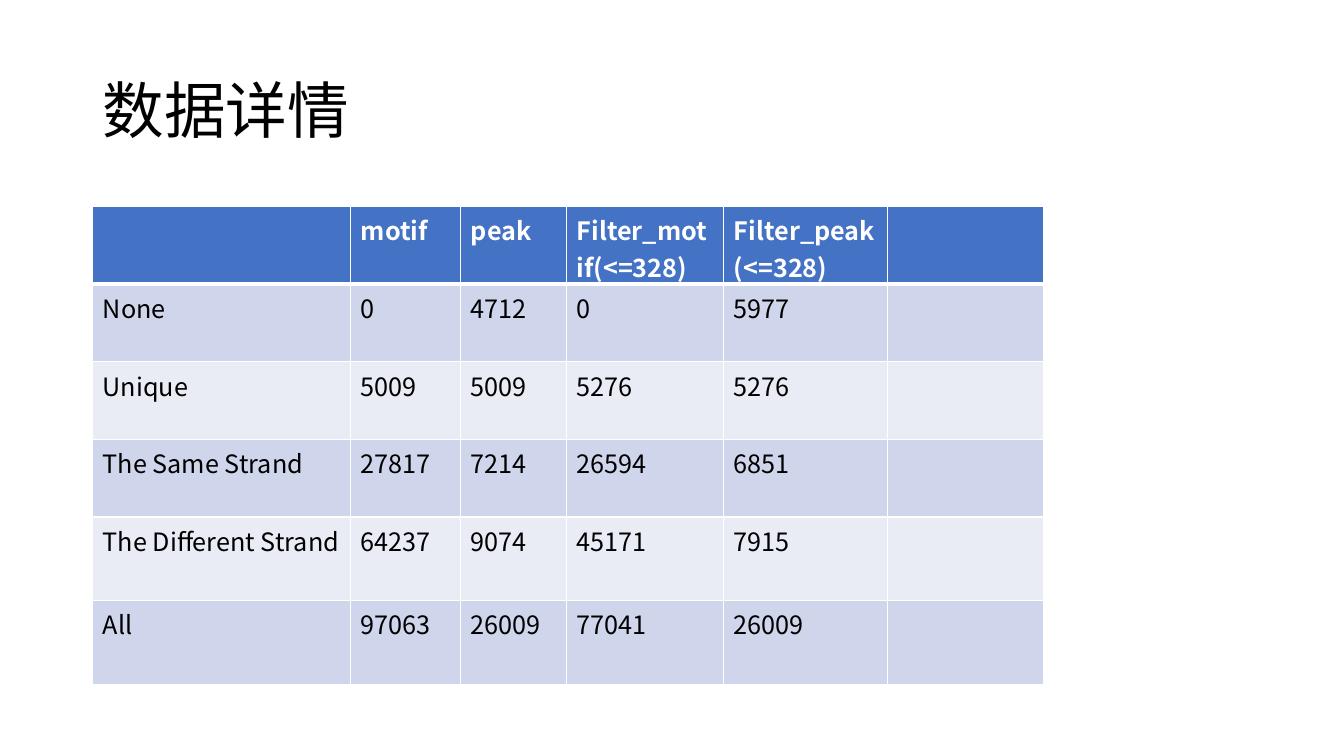
from dataclasses import dataclass

from lxml.etree import SubElement
from pptx import Presentation
from pptx.dml.color import RGBColor
from pptx.enum.text import MSO_ANCHOR
from pptx.oxml.ns import qn
from pptx.slide import Slide
from pptx.table import _Cell
from pptx.text.text import _Paragraph
from pptx.util import Inches, Pt

FONT_NAME = "Noto Sans CJK SC"
BLACK = RGBColor(0x00, 0x00, 0x00)
WHITE = RGBColor(0xFF, 0xFF, 0xFF)
HEADER_BLUE = RGBColor(0x44, 0x72, 0xC4)
BAND_DARK = RGBColor(0xCF, 0xD5, 0xEA)
BAND_LIGHT = RGBColor(0xE9, 0xEB, 0xF5)

LEFT = 0.92
COLUMN_WIDTHS = (2.56, 1.09, 1.05, 1.56, 1.62, 1.55)


@dataclass(frozen=True)
class TableRow:
    values: tuple[str, ...]
    height: float = 0.77


ROWS = (
    TableRow(("", "motif", "peak", "Filter_motif(<=328)", "Filter_peak (<=328)", "")),
    TableRow(("None", "0", "4712", "0", "5977", "")),
    TableRow(("Unique", "5009", "5009", "5276", "5276", "")),
    TableRow(("The Same Strand", "27817", "7214", "26594", "6851", "")),
    TableRow(("The Different Strand", "64237", "9074", "45171", "7915", ""), 0.83),
    TableRow(("All", "97063", "26009", "77041", "26009", ""), 0.83),
)


def style_paragraph(paragraph: _Paragraph, size: int, color: RGBColor, bold: bool = False) -> None:
    font = paragraph.font
    font.name = FONT_NAME
    font.size = Pt(size)
    font.bold = bold
    font.color.rgb = color
    default_properties = paragraph._p.pPr.find(qn("a:defRPr"))
    SubElement(default_properties, qn("a:ea"), typeface=FONT_NAME)


def set_borders(cell: _Cell, top: int, bottom: int) -> None:
    properties = cell._tc.get_or_add_tcPr()
    for side, width in (("L", 1), ("R", 1), ("T", top), ("B", bottom)):
        line = SubElement(properties, qn(f"a:ln{side}"), w=str(Pt(width)))
        fill = SubElement(line, qn("a:solidFill"))
        SubElement(fill, qn("a:srgbClr"), val=str(WHITE))


def add_title(slide: Slide, text: str) -> None:
    shape = slide.shapes.add_textbox(Inches(LEFT), Inches(0.4), Inches(11.5), Inches(1.45))
    frame = shape.text_frame
    frame.word_wrap = True
    frame.vertical_anchor = MSO_ANCHOR.MIDDLE
    paragraph = frame.paragraphs[0]
    paragraph.text = text
    paragraph.line_spacing = 0.9
    style_paragraph(paragraph, 44, BLACK)


def add_data_table(slide: Slide) -> None:
    width = sum(COLUMN_WIDTHS)
    height = sum(row.height for row in ROWS)
    table = slide.shapes.add_table(
        len(ROWS), len(COLUMN_WIDTHS), Inches(LEFT), Inches(2.05), Inches(width), Inches(height)
    ).table
    for column, column_width in zip(table.columns, COLUMN_WIDTHS):
        column.width = Inches(column_width)
    for row_index, row in enumerate(ROWS):
        table.rows[row_index].height = Inches(row.height)
        is_header = row_index == 0
        band = BAND_DARK if row_index % 2 else BAND_LIGHT
        for column_index, value in enumerate(row.values):
            cell = table.cell(row_index, column_index)
            set_borders(cell, top=3 if row_index == 1 else 1, bottom=3 if is_header else 1)
            cell.fill.solid()
            cell.fill.fore_color.rgb = HEADER_BLUE if is_header else band
            paragraph = cell.text_frame.paragraphs[0]
            if value:
                paragraph.text = value
            style_paragraph(paragraph, 18, WHITE if is_header else BLACK, is_header)


def main() -> None:
    presentation = Presentation()
    presentation.slide_width = Inches(13.33)
    presentation.slide_height = Inches(7.5)
    slide = presentation.slides.add_slide(presentation.slide_layouts[6])
    add_title(slide, "数据详情")
    add_data_table(slide)
    presentation.save("out.pptx")


if __name__ == "__main__":
    main()
